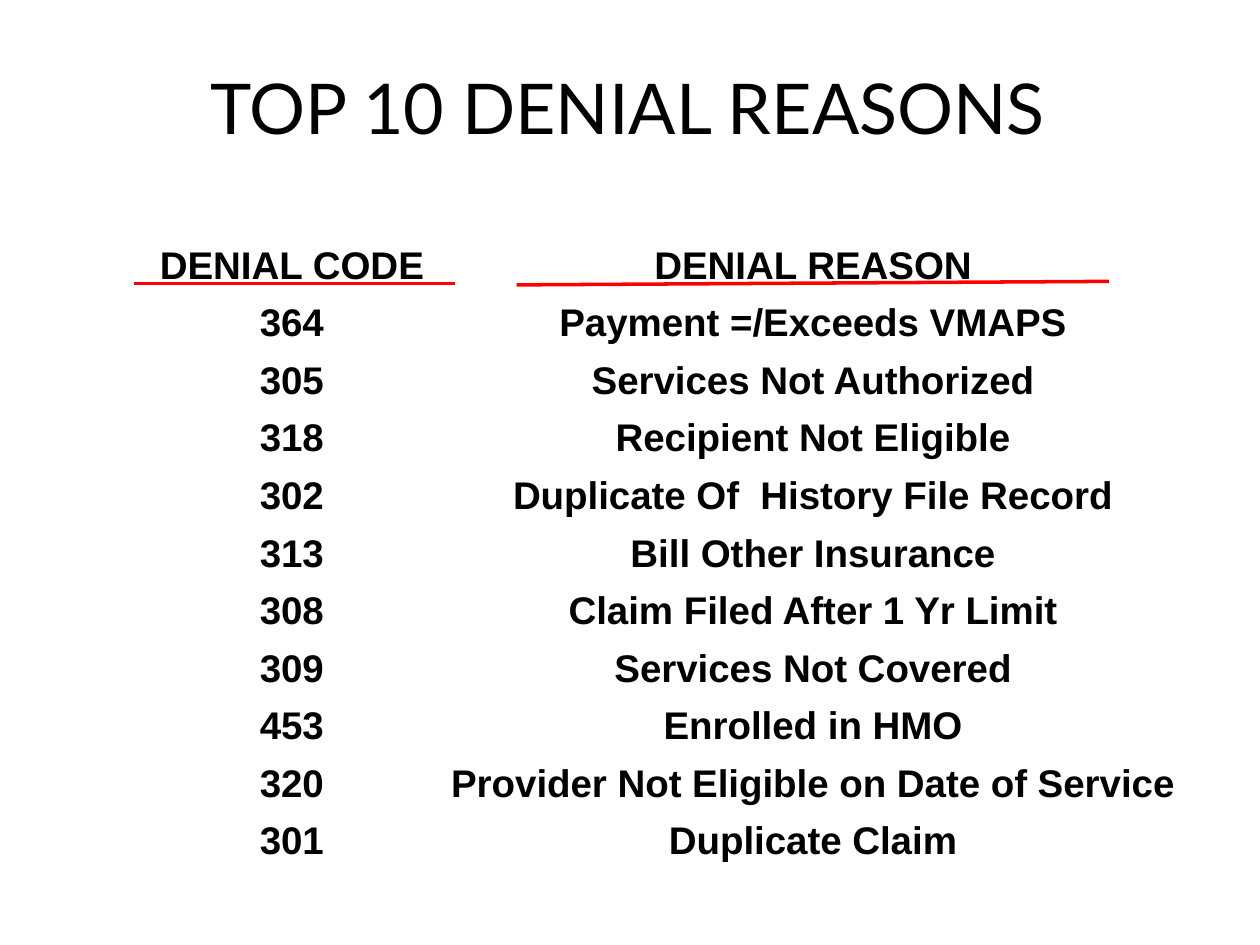
from lxml.etree import SubElement
from pptx import Presentation
from pptx.dml.color import RGBColor
from pptx.enum.text import MSO_ANCHOR, MSO_AUTO_SIZE, PP_ALIGN
from pptx.oxml.ns import qn
from pptx.util import Pt

BLACK, RED = "000000", "FF0000"
CODE_CENTER, REASON_CENTER = 166.8, 464.6
CODE_WIDTH = 53
FIRST_ROW, ROW_STEP, ROW_HEIGHT = 138, 32.9, 29.5

# Code, reason, width of the reason
DENIALS = [
    ("364", "Payment =/Exceeds VMAPS", 308),
    ("305", "Services Not Authorized", 271),
    ("318", "Recipient Not Eligible", 243),
    ("302", "Duplicate Of  History File Record", 361),
    ("313", "Bill Other Insurance", 226),
    ("308", "Claim Filed After 1 Yr Limit", 298),
    ("309", "Services Not Covered", 245),
    ("453", "Enrolled in HMO", 188),
    ("320", "Provider Not Eligible on Date of Service", 431),
    ("301", "Duplicate Claim", 182),
]


def color(value):
    return RGBColor.from_string(value)


class DenialSlide:
    title_font, body_font = "Lato", "Arial"
    title_size, body_size = 40, 22

    def __init__(self, slide):
        self.slide = slide

    def format(self, paragraph, name, size, bold):
        paragraph.alignment = PP_ALIGN.CENTER
        font = paragraph.font
        font.name, font.size, font.bold = name, Pt(size), bold
        font.color.rgb = color(BLACK)

    def title(self, text, left, top, width, height):
        heading = self.slide.shapes.title
        heading.left, heading.top = Pt(left), Pt(top)
        heading.width, heading.height = Pt(width), Pt(height)
        frame = heading.text_frame
        frame.text = text
        frame.auto_size = MSO_AUTO_SIZE.NONE
        frame.vertical_anchor = MSO_ANCHOR.TOP
        self.format(frame.paragraphs[0], self.title_font, self.title_size, False)

    def entry(self, text, center, top, width):
        box = self.slide.shapes.add_textbox(
            Pt(center - width / 2), Pt(top), Pt(width), Pt(ROW_HEIGHT))
        frame = box.text_frame
        frame.text = text
        frame.word_wrap = False
        frame.auto_size = MSO_AUTO_SIZE.SHAPE_TO_FIT_TEXT
        frame.vertical_anchor = MSO_ANCHOR.MIDDLE
        paragraph = frame.paragraphs[0]
        paragraph.line_spacing = 0.85
        self.format(paragraph, self.body_font, self.body_size, True)

    def rule(self, x1, y1, x2, y2):
        line = self.slide.shapes.add_connector(1, Pt(x1), Pt(y1), Pt(x2), Pt(y2))
        line.line.color.rgb = color(RED)
        line.line.width = Pt(2)
        SubElement(line._element.spPr, qn("a:effectLst"))


def main():
    deck = Presentation()
    deck.slide_width, deck.slide_height = Pt(720), Pt(540)
    page = DenialSlide(deck.slides.add_slide(deck.slide_layouts[5]))
    page.title("TOP 10 DENIAL REASONS", 47.5, 33.1, 622, 56.2)

    # Column headings
    page.entry("DENIAL CODE", CODE_CENTER, FIRST_ROW, 168)
    page.entry("DENIAL REASON", REASON_CENTER, FIRST_ROW, 198)

    # Codes and reasons
    for row, (code, reason, width) in enumerate(DENIALS, start=1):
        top = FIRST_ROW + row * ROW_STEP
        page.entry(code, CODE_CENTER, top, CODE_WIDTH)
        page.entry(reason, REASON_CENTER, top, width)

    # Underlines of the headings
    page.rule(76.5, 162, 260, 162)
    page.rule(295.2, 162.8, 633.6, 160.8)

    deck.save("out.pptx")


if __name__ == "__main__":
    main()
